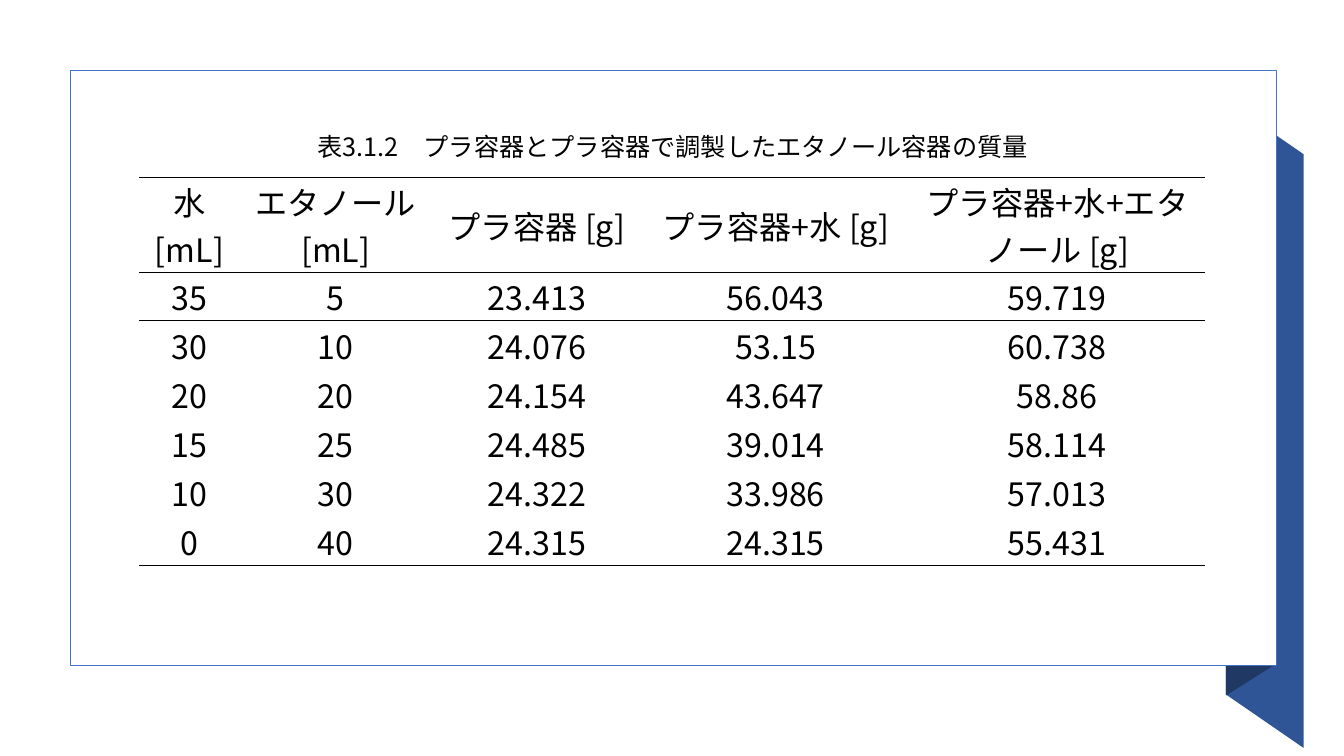
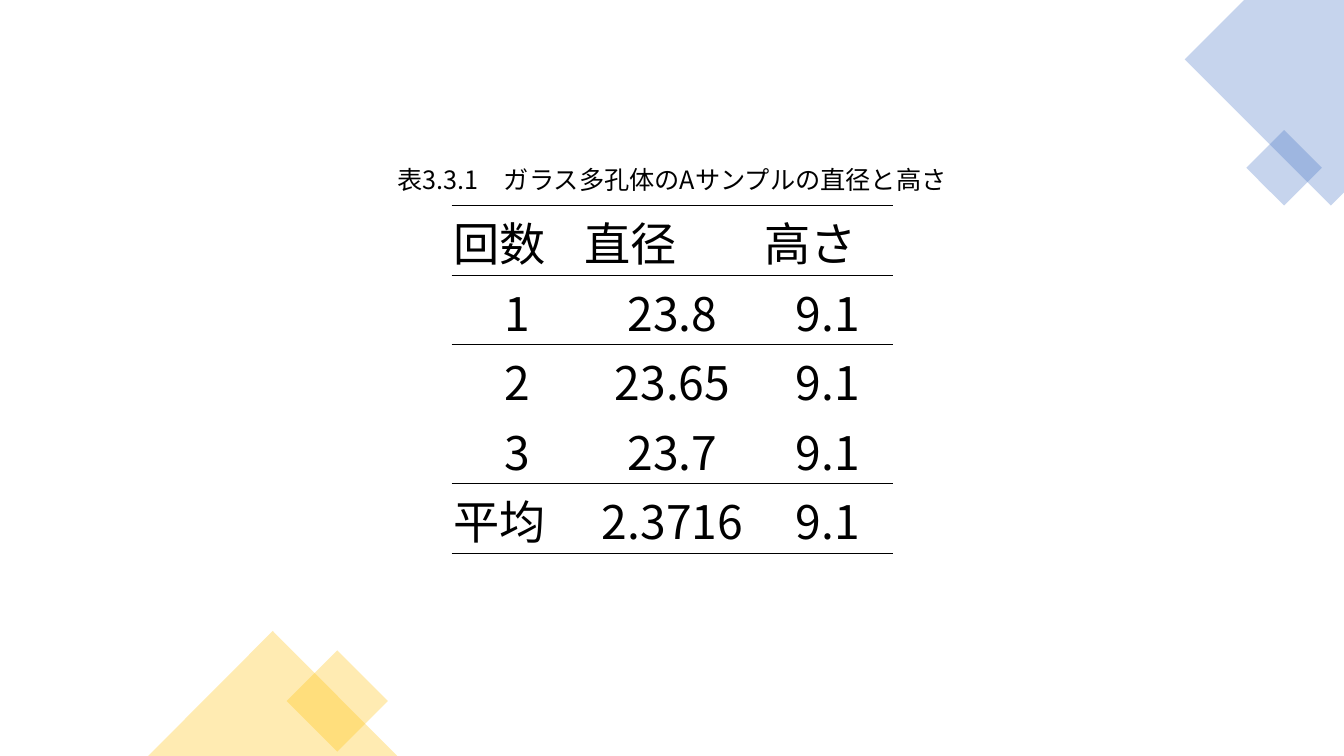
"""Build two slides that show measurement tables with decorated backgrounds."""
from lxml.etree import SubElement
from pptx import Presentation
from pptx.dml.color import RGBColor
from pptx.enum.shapes import MSO_SHAPE
from pptx.enum.text import MSO_ANCHOR, PP_ALIGN
from pptx.oxml.ns import qn
from pptx.util import Inches, Pt

FONT = "Noto Sans CJK JP"
BLACK = RGBColor(0x00, 0x00, 0x00)
WHITE = RGBColor(0xFF, 0xFF, 0xFF)
BLUE = RGBColor(0x44, 0x72, 0xC4)
RIBBON_BLUE = RGBColor(0x2F, 0x55, 0x97)
FOLD_BLUE = RGBColor(0x20, 0x38, 0x64)
GOLD = RGBColor(0xFF, 0xC0, 0x00)
OPACITY = 30
PLAIN_TABLE_STYLE = "{2D5ABB26-0587-4C30-8999-92F81FD0307C}"

MASS_ROWS = [
    ("水 [mL]", "エタノール [mL]", "プラ容器 [g]", "プラ容器+水 [g]", "プラ容器+水+エタノール [g]"),
    ("35", "5", "23.413", "56.043", "59.719"),
    ("30", "10", "24.076", "53.15", "60.738"),
    ("20", "20", "24.154", "43.647", "58.86"),
    ("15", "25", "24.485", "39.014", "58.114"),
    ("10", "30", "24.322", "33.986", "57.013"),
    ("0", "40", "24.315", "24.315", "55.431"),
]
SIZE_ROWS = [
    ("回数", "直径", "高さ"),
    ("1", "23.8", "9.1"),
    ("2", "23.65", "9.1"),
    ("3", "23.7", "9.1"),
    ("平均", "2.3716", "9.1"),
]


def paint(shape, color, opacity=100, line_color=None):
    shape.shadow.inherit = False
    shape.fill.solid()
    shape.fill.fore_color.rgb = color
    if opacity < 100:
        fill_color = shape.element.spPr.find(qn("a:solidFill"))[0]
        SubElement(fill_color, qn("a:alpha"), val=str(opacity * 1000))
    if line_color is None:
        shape.line.fill.background()
    else:
        shape.line.color.rgb = line_color
        shape.line.width = Pt(1)


def add_preset(slide, kind, box, color, opacity=100, rotation=0, line_color=None):
    shape = slide.shapes.add_shape(kind, *map(Inches, box))
    shape.rotation = rotation
    paint(shape, color, opacity, line_color)


def add_polygon(slide, points, color, opacity=100):
    corners = [(Inches(x), Inches(y)) for x, y in points]
    builder = slide.shapes.build_freeform(*corners[0])
    builder.add_line_segments(corners[1:], close=True)
    paint(builder.convert_to_shape(), color, opacity)


def write_text(text_frame, text, size, alignment):
    paragraph = text_frame.paragraphs[0]
    paragraph.text = text
    paragraph.alignment = alignment
    font = paragraph.font
    font.size = Pt(size)
    font.color.rgb = BLACK
    font.name = FONT
    properties = paragraph._p.pPr.find(qn("a:defRPr"))
    SubElement(properties, qn("a:ea"), typeface=FONT)


def add_caption(slide, left, top, width, text):
    box = slide.shapes.add_textbox(*map(Inches, (left, top, width, 0.4)))
    box.text_frame.word_wrap = False
    write_text(box.text_frame, text, 18, PP_ALIGN.CENTER)


def add_border(cell, tag):
    line = SubElement(cell._tc.get_or_add_tcPr(), qn(tag), w=str(Pt(0.5)))
    fill = SubElement(line, qn("a:solidFill"))
    SubElement(fill, qn("a:srgbClr"), val=str(BLACK))


def add_ruled_table(slide, left, top, widths, heights, rows, size, inset, rules, left_cells=()):
    box = (left, top, sum(widths), sum(heights))
    frame = slide.shapes.add_table(len(rows), len(widths), *map(Inches, box))
    frame.element.find(".//" + qn("a:tableStyleId")).text = PLAIN_TABLE_STYLE
    table = frame.table
    table.first_row = table.horz_banding = False
    for column, width in zip(table.columns, widths):
        column.width = Inches(width)
    for row, height in zip(table.rows, heights):
        row.height = Inches(height)
    for row_index, values in enumerate(rows):
        for column_index, text in enumerate(values):
            cell = table.cell(row_index, column_index)
            cell.margin_left = cell.margin_right = cell.margin_top = Inches(inset)
            cell.margin_bottom = 0
            cell.vertical_anchor = MSO_ANCHOR.MIDDLE
            if row_index in rules:
                add_border(cell, "a:lnT")
            if row_index + 1 in rules:
                add_border(cell, "a:lnB")
            cell.fill.background()
            is_left = (row_index, column_index) in left_cells
            alignment = PP_ALIGN.LEFT if is_left else PP_ALIGN.CENTER
            write_text(cell.text_frame, text, size, alignment)


def add_slide(presentation):
    slide = presentation.slides.add_slide(presentation.slide_layouts[6])
    slide.background.fill.solid()
    slide.background.fill.fore_color.rgb = WHITE
    return slide


def build_mass_slide(presentation):
    slide = add_slide(presentation)
    add_polygon(slide, [(12.93, 7.42), (12.16, 6.89), (12.16, 1), (12.93, 1.53)], RIBBON_BLUE)
    add_polygon(slide, [(12.62, 6.61), (12.16, 6.9), (12.16, 1), (12.62, 0.7)], FOLD_BLUE)
    add_preset(slide, MSO_SHAPE.RECTANGLE, (0.7, 0.7, 11.96, 5.9), WHITE, line_color=BLUE)
    add_ruled_table(slide, 1.38, 1.76, [1, 1.9, 2.09, 2.65, 2.93], [0.93] + [0.486] * 6,
                    MASS_ROWS, 23, 0.01, {0, 1, 7})
    add_caption(slide, 1.68, 1.25, 9.98, "表3.1.2　プラ容器とプラ容器で調製したエタノール容器の質量")


def build_size_slide(presentation):
    slide = add_slide(presentation)
    corner = [(13.33, 0), (12.34, 0), (11.75, 0.59), (13.2, 2.04), (13.33, 1.91)]
    add_polygon(slide, corner, BLUE, OPACITY)
    add_preset(slide, MSO_SHAPE.RECTANGLE, (12.47, 1.4, 0.53, 0.53), BLUE, OPACITY, 45)
    add_preset(slide, MSO_SHAPE.RECTANGLE, (2.99, 6.6, 0.71, 0.71), GOLD, OPACITY, 45)
    add_preset(slide, MSO_SHAPE.ISOSCELES_TRIANGLE, (1.47, 6.26, 2.47, 1.24), GOLD, OPACITY)
    add_ruled_table(slide, 4.48, 2.04, [1.3, 1.78, 1.3], [0.69] * 5, SIZE_ROWS, 33, 0.02,
                    {0, 1, 4, 5}, {(0, 0), (0, 1), (0, 2), (4, 0)})
    add_caption(slide, 3.72, 1.58, 5.89, "表3.3.1　ガラス多孔体のAサンプルの直径と高さ")


def main():
    presentation = Presentation()
    presentation.slide_width = Inches(13.33)
    presentation.slide_height = Inches(7.5)
    build_mass_slide(presentation)
    build_size_slide(presentation)
    presentation.save("out.pptx")


if __name__ == "__main__":
    main()
